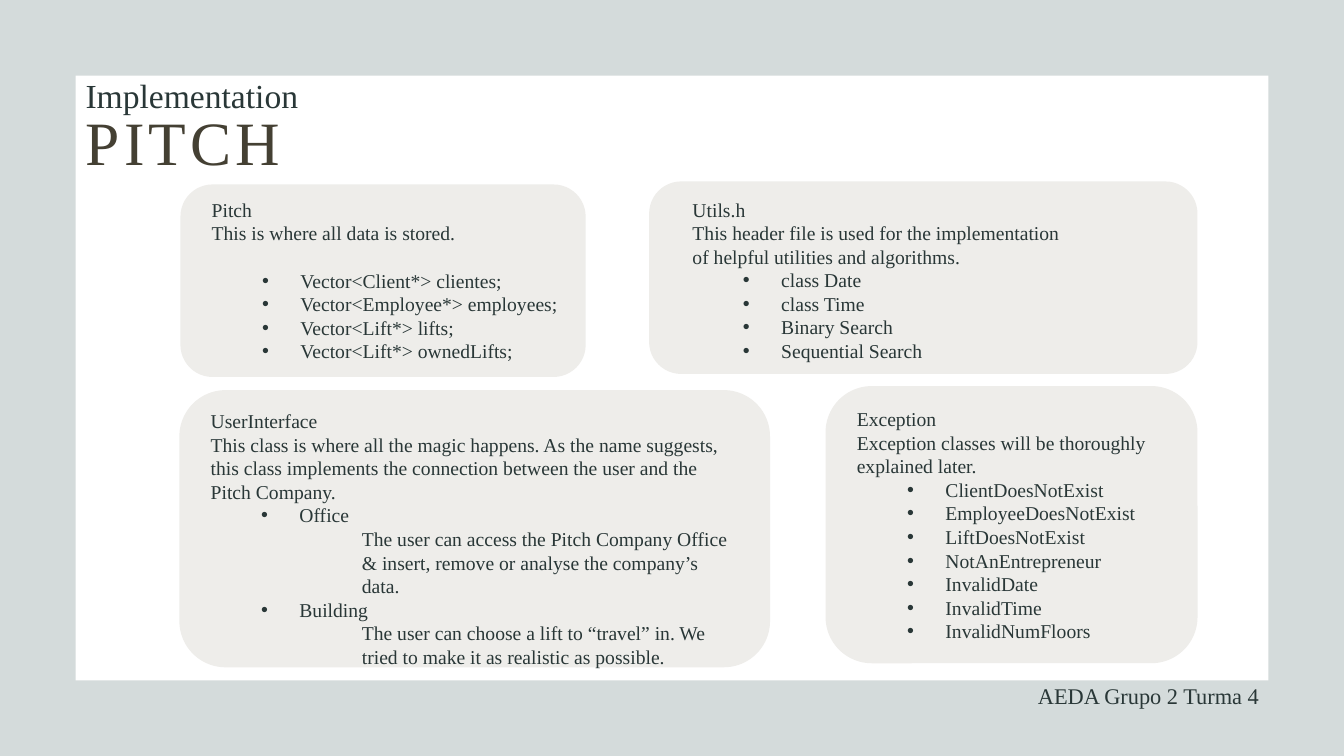
from dataclasses import dataclass
from typing import NamedTuple

from lxml.etree import SubElement
from pptx import Presentation
from pptx.dml.color import RGBColor
from pptx.enum.shapes import MSO_SHAPE
from pptx.enum.text import MSO_ANCHOR, MSO_AUTO_SIZE, PP_ALIGN
from pptx.oxml.ns import qn
from pptx.util import Inches, Pt

COLS, ROWS = 160, 90
CELL = Inches(7.5) / ROWS
FONT = "Times New Roman"
INK = {
    "frame": "557272",
    "page": "FFFFFF",
    "card": "EEEDEA",
    "title": "444033",
    "text": "293737",
}


class Area(NamedTuple):
    """Left, top, width and height in grid cells."""
    left: float
    top: float
    width: float
    height: float

    def emu(self) -> list[int]:
        return [round(side * CELL) for side in self]


class Style(NamedTuple):
    level: int
    margin: float
    indent: float
    bullet: bool


PLAIN = Style(0, 0, 0, False)
ITEM = Style(1, 0.88, -0.38, True)
NOTE = Style(3, 1.5, 0, False)


class Line(NamedTuple):
    text: str
    style: Style = PLAIN
    before: float = 0


@dataclass
class Card:
    back: Area
    area: Area
    lines: list[Line]


def items(*names: str) -> list[Line]:
    return [Line(name, ITEM) for name in names]


CARDS = [
    Card(Area(21.48, 21.96, 48.24, 22.92), Area(24, 22.92, 44.28, 21), [
        Line("Pitch"),
        Line("This is where all data is stored."),
        Line("Vector<Client*> clientes;", ITEM, 17),
        *items("Vector<Employee*> employees;", "Vector<Lift*> lifts;",
               "Vector<Lift*> ownedLifts;"),
    ]),
    Card(Area(21.36, 46.44, 70.32, 33), Area(23.88, 48.12, 65.28, 34.32), [
        Line("UserInterface"),
        Line("This class is where all the magic happens. As the name suggests, "
             "this class implements the connection between the user and the "
             "Pitch Company."),
        Line("Office", ITEM),
        Line("The user can access the Pitch Company Office & insert, remove "
             "or analyse the company’s data.", NOTE),
        Line("Building", ITEM),
        Line("The user can choose a lift to “travel” in. We tried to make it "
             "as realistic as possible.", NOTE),
    ]),
    Card(Area(77.28, 21.6, 65.28, 22.92), Area(81.24, 22.92, 48.24, 23.4), [
        Line("Utils.h"),
        Line("This header file is used for the implementation of helpful "
             "utilities and algorithms."),
        *items("class Date", "class Time", "Binary Search", "Sequential Search"),
    ]),
    Card(Area(98.28, 45.96, 44.28, 33), Area(100.8, 47.88, 44.16, 29.52), [
        Line("Exception"),
        Line("Exception classes will be thoroughly explained later."),
        *items("ClientDoesNotExist", "EmployeeDoesNotExist", "LiftDoesNotExist",
               "NotAnEntrepreneur", "InvalidDate", "InvalidTime",
               "InvalidNumFloors"),
    ]),
]


def block(slide, kind: MSO_SHAPE, area: Area, ink: str):
    """Draw a filled shape with no line."""
    shape = slide.shapes.add_shape(kind, *area.emu())
    shape.shadow.inherit = False
    shape.fill.solid()
    shape.fill.fore_color.rgb = RGBColor.from_string(INK[ink])
    shape.line.fill.background()
    return shape


def paint(par, size: float, ink: str = "text") -> None:
    """Set the font of a whole paragraph."""
    font = par.font
    font.name, font.size, font.bold = FONT, Pt(size), False
    font.color.rgb = RGBColor.from_string(INK[ink])


def place(shape, area: Area, anchor: MSO_ANCHOR = MSO_ANCHOR.TOP):
    """Move a text shape and return its frame."""
    shape.left, shape.top, shape.width, shape.height = area.emu()
    frame = shape.text_frame
    frame.word_wrap = True
    frame.auto_size = MSO_AUTO_SIZE.NONE
    frame.vertical_anchor = anchor
    return frame


def label(slide, text: str, area: Area, size: float, align: PP_ALIGN) -> None:
    frame = place(slide.shapes.add_textbox(*area.emu()), area)
    par = frame.paragraphs[0]
    par.text, par.alignment = text, align
    paint(par, size)


def indent(par, style: Style) -> None:
    par.level = style.level
    props = par._p.get_or_add_pPr()
    props.set("marL", str(Inches(style.margin)))
    props.set("indent", str(Inches(style.indent)))
    if style.bullet:
        SubElement(props, qn("a:buFont"), typeface="Arial")
        SubElement(props, qn("a:buChar"), char="•")
    else:
        SubElement(props, qn("a:buNone"))


def fill_list(holder, card: Card) -> None:
    frame = place(holder, card.area)
    for row, line in enumerate(card.lines):
        par = frame.add_paragraph() if row else frame.paragraphs[0]
        par.text = line.text
        indent(par, line.style)
        par.alignment = PP_ALIGN.LEFT
        par.space_before = Pt(line.before)
        paint(par, 14)


def head(holder) -> None:
    """Write the slide title."""
    frame = place(holder, Area(9, 11.04, 124.56, 10.8), MSO_ANCHOR.BOTTOM)
    par = frame.paragraphs[0]
    par.text, par.alignment, par.line_spacing = "PITCH", PP_ALIGN.LEFT, 0.9
    paint(par, 44, "title")
    par.runs[0]._r.get_or_add_rPr().set("spc", "300")


def main() -> None:
    deck = Presentation()
    deck.slide_width, deck.slide_height = Area(0, 0, COLS, ROWS).emu()[2:]
    slide = deck.slides.add_slide(deck.slide_layouts.get_by_name("Comparison"))
    title, *bodies = slide.placeholders

    frame = block(slide, MSO_SHAPE.RECTANGLE, Area(0, 0, COLS, ROWS), "frame")
    tint = frame.element.find(".//" + qn("a:srgbClr"))
    SubElement(tint, qn("a:alpha"), val="25000")
    block(slide, MSO_SHAPE.RECTANGLE, Area(9, 9, COLS - 18, ROWS - 18), "page")
    for card in CARDS:
        block(slide, MSO_SHAPE.ROUNDED_RECTANGLE, card.back, "card")

    # Placeholders are made first, so bring them in front of the cards.
    for holder in (title, *bodies):
        slide.shapes.element.append(holder.element)
    head(title)
    for holder, card in zip(bodies, CARDS):
        fill_list(holder, card)

    label(slide, "Implementation", Area(9, 8.28, 32.64, 6), 24, PP_ALIGN.LEFT)
    label(slide, "AEDA Grupo 2 Turma 4", Area(44.5, 80.64, 106.56, 8), 16,
          PP_ALIGN.RIGHT)
    deck.save("out.pptx")


if __name__ == "__main__":
    main()
